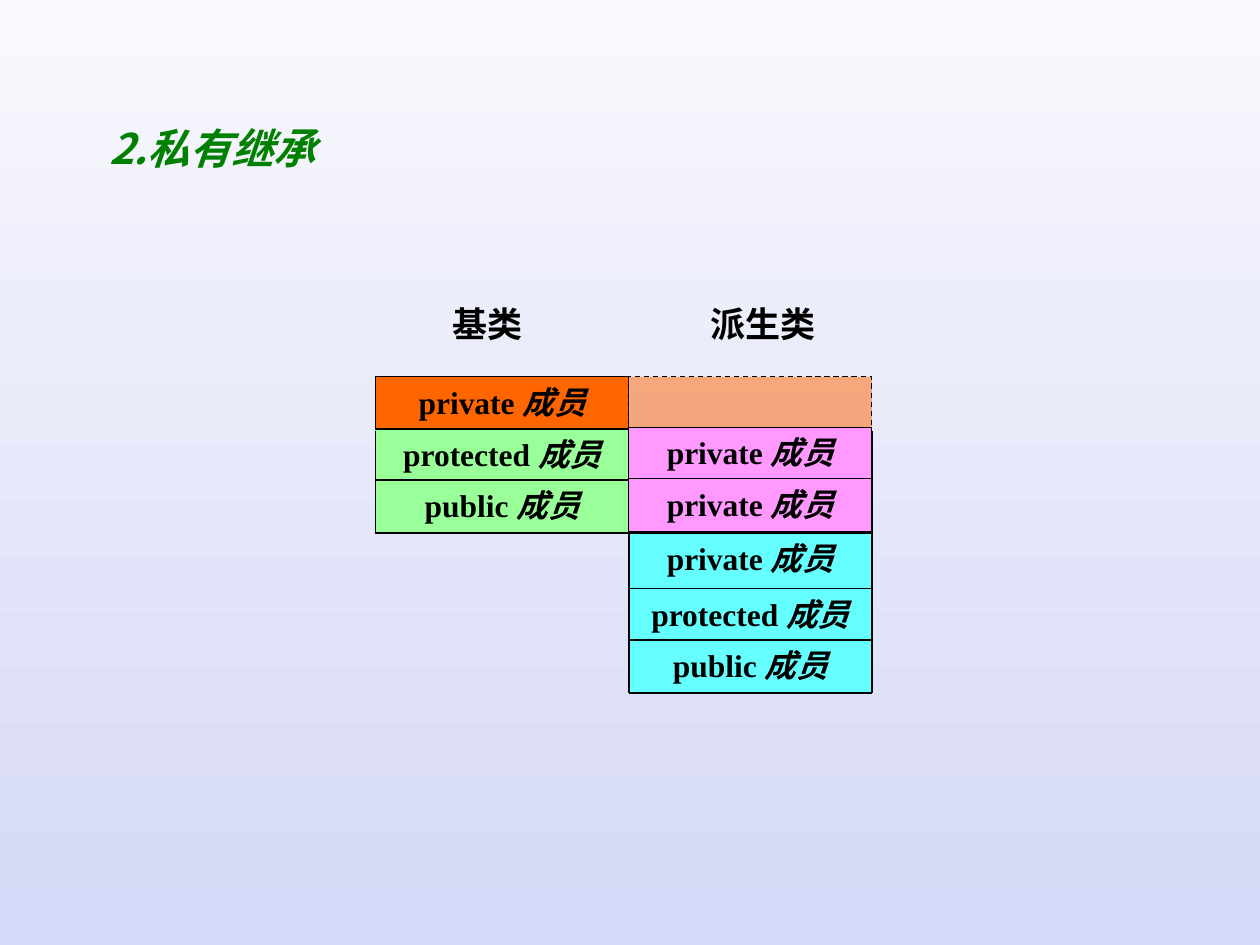
"""Build a slide showing how members are inherited under private inheritance."""
from typing import NamedTuple, Optional

import pptx
import pptx.dml.color
import pptx.enum.dml
import pptx.enum.shapes
import pptx.enum.text
import pptx.oxml.ns
import pptx.util
from lxml import etree

Inches = pptx.util.Inches
Pt = pptx.util.Pt
LATIN, CJK = "Times New Roman", "Noto Sans CJK SC"
BLACK, ORANGE, GREEN, PINK, CYAN = "000000", "FF6600", "99FF99", "FF99FF", "66FFFF"
BASE, DERIVED, RIGHT = 2.98, 4.99, 6.92


class Member(NamedTuple):
    access: str
    left: float
    top: float
    width: float
    height: float
    fill: str
    outlined: bool = False
    inaccessible: bool = False


class Rule(NamedTuple):
    x1: float
    y1: float
    x2: float
    y2: float


class Label(NamedTuple):
    text: str
    left: float
    top: float
    width: float
    height: float
    size: int
    color: str = BLACK
    latin: str = LATIN
    italic: bool = False
    wrap: bool = False
    align: Optional[pptx.enum.text.PP_ALIGN] = None


BASE_MEMBERS = [
    Member("public", BASE, 3.81, 2.01, 0.42, GREEN),
    Member("protected", BASE, 3.4, 2.01, 0.42, GREEN),
    Member("private", BASE, 2.99, 2.01, 0.42, ORANGE, outlined=True),
]
OWN_MEMBERS = [
    Member("public", DERIVED, 5.08, 1.93, 0.42, CYAN),
    Member("protected", DERIVED, 4.67, 1.93, 0.41, CYAN),
    Member("private", DERIVED, 4.23, 1.93, 0.44, CYAN),
]
INHERITED_MEMBERS = [
    Member("", DERIVED, 2.99, 1.93, 0.42, ORANGE, outlined=True, inaccessible=True),
    Member("private", DERIVED, 3.39, 1.93, 0.41, PINK, outlined=True),
    Member("private", DERIVED, 3.8, 1.93, 0.42, PINK, outlined=True),
]
BASE_RULES = [Rule(BASE, y, RIGHT, y) for y in (3.4, 3.81, 4.23)]
BASE_RULES += [Rule(x, 3.42, x, 4.23) for x in (BASE, RIGHT)]
OWN_RULES = [Rule(DERIVED, y, RIGHT, y) for y in (4.23, 4.67, 5.08, 5.5)]
OWN_RULES += [Rule(x, 4.23, x, 5.5) for x in (RIGHT, DERIVED)]
LABELS = [
    Label("基类", 3.49, 2.35, 0.8, 0.44, 20),
    Label("派生类", 5.54, 2.35, 1.1, 0.44, 20),
    Label("2.私有继承", 0.74, 0.92, 1.89, 0.5, 24, "008000", CJK, True, True,
          pptx.enum.text.PP_ALIGN.CENTER),
]


def rgb(color: str) -> pptx.dml.color.RGBColor:
    """Return the colour for a hex string."""
    return pptx.dml.color.RGBColor.from_string(color)


def sub(parent, tag: str, **attrs: str) -> None:
    """Append a DrawingML child element."""
    etree.SubElement(parent, pptx.oxml.ns.qn(tag), **attrs)


def format_run(r, size: int, color: str, latin: str = LATIN, italic: bool = False) -> None:
    """Apply bold type with Latin and East Asian fonts."""
    r.font.size, r.font.bold, r.font.italic = Pt(size), True, italic
    r.font.color.rgb = rgb(color)
    r.font.name = latin
    sub(r.font._element, "a:ea", typeface=CJK)


def add_member(s, m: Member) -> None:
    """Draw one member cell."""
    sp = s.shapes.add_shape(pptx.enum.shapes.MSO_SHAPE.RECTANGLE, Inches(m.left),
                            Inches(m.top), Inches(m.width), Inches(m.height))
    sp.shadow.inherit = False
    sp.fill.solid()
    sp.fill.fore_color.rgb = rgb(m.fill)
    if m.outlined:
        sp.line.color.rgb = rgb(BLACK)
        sp.line.width = Pt(0.75)
    else:
        sp.line.fill.background()
    if m.inaccessible:
        sp.line.dash_style = pptx.enum.dml.MSO_LINE.DASH
        color = sp._element.spPr.find(pptx.oxml.ns.qn("a:solidFill"))[0]
        sub(color, "a:alpha", val="50000")
        return
    tf = sp.text_frame
    tf.word_wrap = True
    tf.vertical_anchor = pptx.enum.text.MSO_ANCHOR.TOP
    p = tf.paragraphs[0]
    p.alignment = pptx.enum.text.PP_ALIGN.CENTER
    for text, italic in ((f"{m.access} ", False), ("成员", True)):
        r = p.add_run()
        r.text = text
        format_run(r, 18, BLACK, italic=italic)


def add_rule(s, rule: Rule) -> None:
    """Draw one straight black line."""
    line = s.shapes.add_connector(pptx.enum.shapes.MSO_CONNECTOR.STRAIGHT,
                                  *(Inches(v) for v in rule))
    line.line.color.rgb = rgb(BLACK)
    line.line.width = Pt(1)
    sub(line._element.spPr, "a:effectLst")


def add_label(s, label: Label) -> None:
    """Draw one text label that grows with its text."""
    sp = s.shapes.add_textbox(Inches(label.left), Inches(label.top),
                              Inches(label.width), Inches(label.height))
    tf = sp.text_frame
    tf.text = label.text
    tf.word_wrap = label.wrap
    tf.auto_size = pptx.enum.text.MSO_AUTO_SIZE.SHAPE_TO_FIT_TEXT
    p = tf.paragraphs[0]
    p.alignment = label.align
    format_run(p.runs[0], label.size, label.color, label.latin, label.italic)


def main() -> None:
    """Assemble and save the slide."""
    prs = pptx.Presentation()
    prs.slide_width, prs.slide_height = Inches(10), Inches(7.5)
    s = prs.slides.add_slide(prs.slide_layouts[6])
    fill = s.background.fill
    fill.gradient()
    fill.gradient_angle = 270
    for stop, color in zip(fill.gradient_stops, ("F8F8FD", "D5D8F6")):
        stop.color.rgb = rgb(color)
    for members, rules in ((BASE_MEMBERS, BASE_RULES), (OWN_MEMBERS, OWN_RULES),
                           (INHERITED_MEMBERS, [])):
        for m in members:
            add_member(s, m)
        for rule in rules:
            add_rule(s, rule)
    for label in LABELS:
        add_label(s, label)
    prs.save("out.pptx")


if __name__ == "__main__":
    main()
